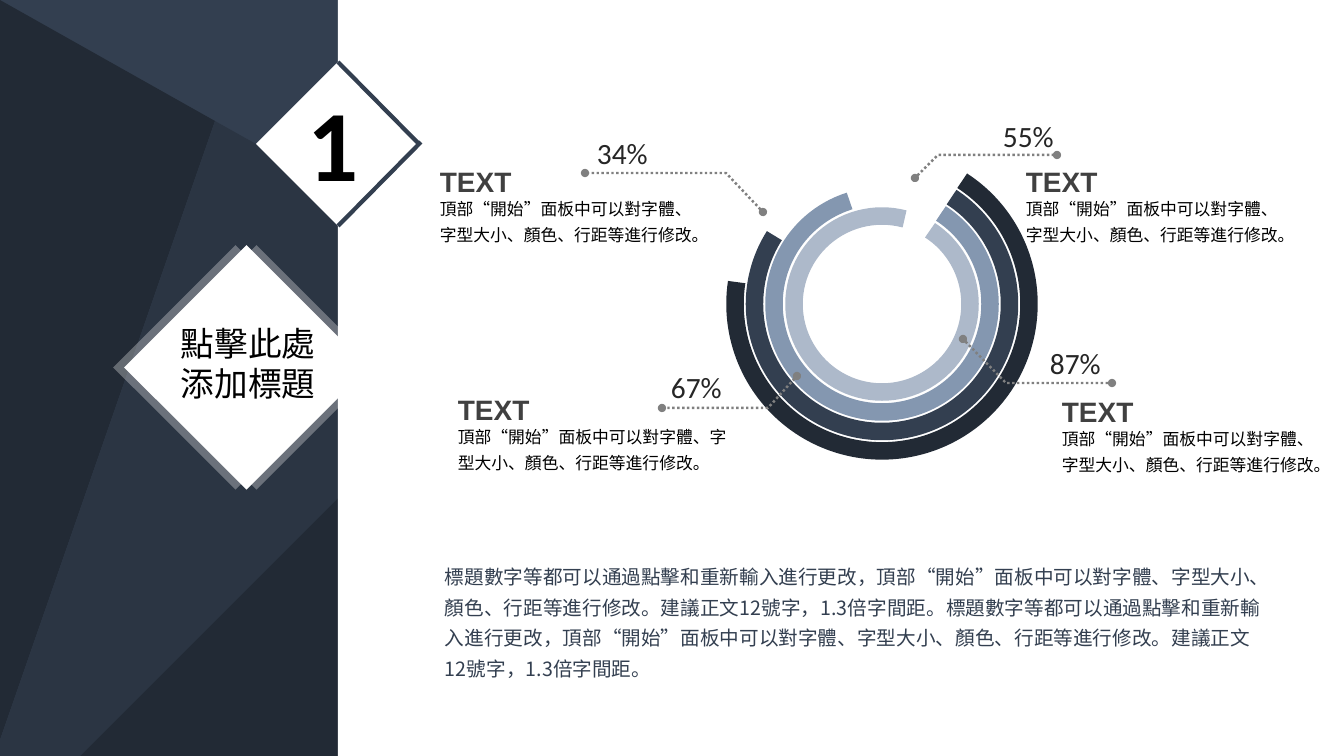
from lxml.etree import SubElement
from pptx import Presentation
from pptx.dml.color import RGBColor as RGB
from pptx.enum.dml import MSO_LINE as Dash
from pptx.enum.shapes import MSO_CONNECTOR as Link, MSO_SHAPE as Kind
from pptx.oxml.ns import qn
from pptx.util import Emu, Pt

PX = 12192000 / 1344
theme = {
    "white": "FFFFFF", "black": "000000", "night": "222A35", "slate": "333F50",
    "blend": "2B3543", "steel": "8497B0", "mist": "ADB9CA", "grey": "808080",
    "ink": "262626", "head": "404040",
    "digit": 72, "title": 24, "rate": 21, "label": 20, "text": 14, "note": 12,
    "latin": "Calibri", "bold": "Arial", "round": "Quicksand", "han": "Noto Sans CJK SC",
}


def tint(fill, name):
    fill.solid()
    fill.fore_color.rgb = RGB.from_string(theme[name])


def write(box, lines, size, face, color, bold=False, wrap=True, gap=None):
    area = slide.shapes.add_textbox(*[Emu(round(v * PX)) for v in box])
    frame = area.text_frame
    frame.word_wrap = wrap
    frame.text = lines
    for para in frame.paragraphs:
        font = para.font
        font.name = theme[face]
        font.size = Pt(theme[size])
        font.bold = bold
        tint(font.fill, color)
        SubElement(font._element, qn("a:ea"), typeface=theme["han"])
        if gap:
            para.line_spacing = gap
    return frame


deck = Presentation()
deck.slide_width, deck.slide_height = Emu(round(1344 * PX)), Emu(round(756 * PX))
slide = deck.slides.add_slide(deck.slide_layouts[6])
shapes = slide.shapes
tint(slide.background.fill, "slate")

facets = [
    ("night", [(0, 0), (215, 121), (0, 740)]),
    ("blend", [(215, 121), (338, 190), (338, 498), (80, 756), (0, 756), (0, 740)]),
    ("night", [(338, 498), (338, 756), (80, 756)]),
]
for color, dots in facets:
    path = shapes.build_freeform(*dots[0], scale=PX)
    path.add_line_segments(dots[1:], close=True)
    facet = path.convert_to_shape()
    facet.shadow.inherit = False
    tint(facet.fill, color)
    facet.line.fill.background()

panels = [
    (338, 0, 1006, 756, 0, 100),
    (280, 86, 116, 116, 45, 100),
    (170, 281, 173, 173, 45, 30),
    (149, 281, 173, 173, 45, 30),
    (160, 281, 173, 173, 45, 100),
]
for *box, turn, alpha in panels:
    panel = shapes.add_shape(Kind.RECTANGLE, *[Emu(round(v * PX)) for v in box])
    panel.shadow.inherit = False
    panel.rotation = turn
    tint(panel.fill, "white")
    panel.line.fill.background()
    if alpha < 100:
        shade = panel._element.spPr.find(".//" + qn("a:srgbClr"))
        SubElement(shade, qn("a:alpha"), val=str(alpha * 1000))

for ends in [(338, 62, 419, 144), (421, 142, 338, 226)]:
    edge = shapes.add_connector(Link.STRAIGHT, *[Emu(round(v * PX)) for v in ends])
    edge.line.width = Pt(3)
    tint(edge.line.fill, "slate")
    SubElement(edge._element.spPr, qn("a:effectLst"))

write((298, 76, 76, 132), "1", "digit", "latin", "black", bold=True)
write((171, 318, 166, 92), "點擊此處\n添加標題", "title", "han", "black")

rings = [
    (176, 194.87, "mist"), (216, 162.54, "steel"),
    (255, 122.41, "slate"), (294, 98.55, "night"),
]
for size, stop, color in rings:
    box = (882 - size / 2, 304 - size / 2, size, size)
    ring = shapes.add_shape(Kind.ARC, *[Emu(round(v * PX)) for v in box])
    ring.shadow.inherit = False
    ring.rotation = 90
    ring.adjustments[0] = 213.06 * 0.6
    ring.adjustments[1] = stop * 0.6
    ring.fill.background()
    ring.line.width = Pt(12.5)
    tint(ring.line.fill, color)

note = "頂部“開始”面板中可以對字體、字型大小、顏色、行距等進行修改。"
calls = [
    ("34%", [(763, 212), (726, 173), (585, 173)], (587, 130), (430, 160), 284),
    ("55%", [(915, 178), (938, 155), (1057, 155)], (993, 113), (1016, 160), 280),
    ("67%", [(797, 376), (768, 408), (662, 408)], (661, 364), (448, 388), 290),
    ("87%", [(963, 339), (1006, 383), (1112, 383)], (1040, 340), (1052, 390), 279),
]
for rate, dots, spot, (left, top), width in calls:
    path = shapes.build_freeform(*dots[0], scale=PX)
    path.add_line_segments(dots[1:], close=False)
    lead = path.convert_to_shape()
    lead.shadow.inherit = False
    lead.fill.background()
    lead.line.width = Pt(1.75)
    tint(lead.line.fill, "grey")
    lead.line.dash_style = Dash.ROUND_DOT
    for end in ("a:headEnd", "a:tailEnd"):
        SubElement(lead.line._ln, qn(end), type="oval")
    write((*spot, 71, 45), rate, "rate", "latin", "ink", wrap=False)
    write((left, top + 28, width, 62), note, "note", "round", "black", gap=1.3)
    write((left, top, 92, 44), "TEXT", "label", "bold", "head", bold=True, wrap=False)

part = "標題數字等都可以通過點擊和重新輸入進行更改，" + note + "建議正文12號字，1.3倍字間距。"
frame = write((438, 554, 833, 131), part * 2, "text", "han", "slate", gap=1.3)
frame.margin_left = frame.margin_right = Emu(round(7 * PX))
frame.margin_top = frame.margin_bottom = Emu(round(4 * PX))

deck.save("out.pptx")
